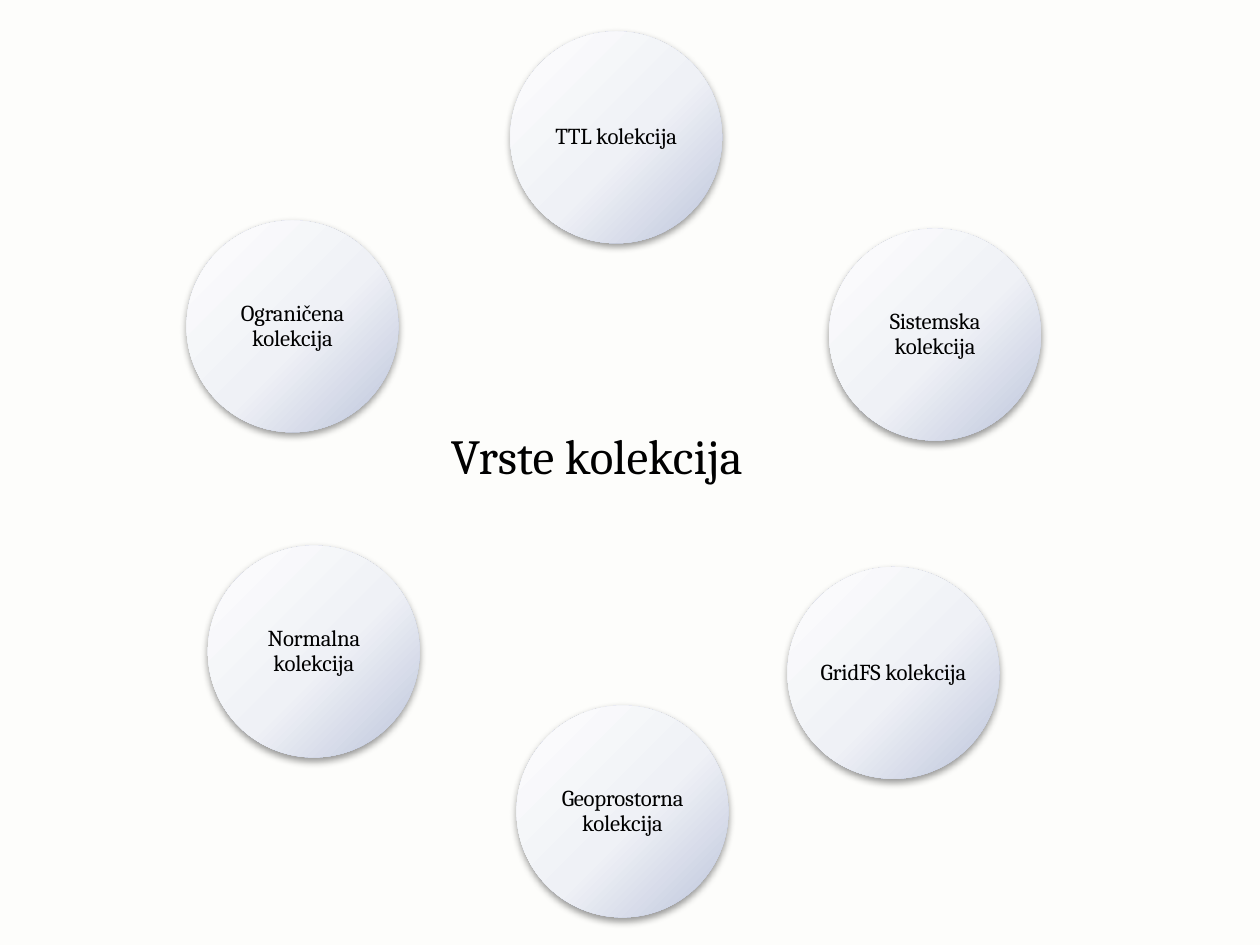
from pptx import Presentation
from pptx.dml.color import RGBColor
from pptx.enum.shapes import MSO_SHAPE as Kind
from pptx.enum.text import MSO_ANCHOR as Anchor, PP_ALIGN as Align
from pptx.oxml import parse_xml
from pptx.oxml.ns import nsdecls, qn
from pptx.util import Pt

BLACK = RGBColor(0x00, 0x00, 0x00)
PAPER = RGBColor(0xFD, 0xFD, 0xFB)
WHITE = RGBColor(0xFE, 0xFE, 0xFE)
MIST = RGBColor(0xEF, 0xF1, 0xF6)
STEEL = RGBColor(0xBC, 0xC4, 0xDB)

SIZE = 121
STOPS = [(0, WHITE), (55, MIST), (100, STEEL)]
TYPES = [
    ("Geoprostorna kolekcija", 295.2, 403.2),
    ("Sistemska kolekcija", 473.8, 130.7),
    ("TTL kolekcija", 291.6, 18),
    ("GridFS kolekcija", 450, 324),
    ("Normalna kolekcija", 118.8, 311.8),
    ("Ograničena kolekcija", 106.6, 126),
]


class Board:
    def __init__(self, slide, font):
        self.slide = slide
        self.font = font
        back = slide.background.fill
        back.solid()
        back.fore_color.rgb = PAPER

    def label(self, frame, text, size):
        frame.word_wrap = True
        frame.text = text
        para = frame.paragraphs[0]
        font = para.runs[0].font
        font.name = self.font
        font.size = Pt(size)
        font.color.rgb = BLACK
        return para

    def title(self, text, left, top, width, height):
        box = self.slide.shapes.add_textbox(Pt(left), Pt(top), Pt(width), Pt(height))
        self.label(box.text_frame, text, 28)

    def shade(self, shape):
        stops = "".join(
            f'<a:gs pos="{pos * 1000}"><a:srgbClr val="{color}"/></a:gs>'
            for pos, color in STOPS
        )
        grad = parse_xml(
            f'<a:gradFill {nsdecls("a")} rotWithShape="1"><a:gsLst>{stops}</a:gsLst>'
            '<a:path path="circle"><a:fillToRect l="-40000" t="-90000" '
            'r="140000" b="190000"/></a:path></a:gradFill>'
        )
        shape.fill.gradient()
        props = shape.element.spPr
        props.replace(props.find(qn("a:gradFill")), grad)

    def shadow(self, shape):
        shape.shadow.inherit = False
        drop = parse_xml(
            f'<a:outerShdw {nsdecls("a")} blurRad="{Pt(4.1)}" dist="{Pt(2)}" '
            'dir="5400000" rotWithShape="0"><a:srgbClr val="000000">'
            '<a:alpha val="40000"/></a:srgbClr></a:outerShdw>'
        )
        shape.element.spPr.find(qn("a:effectLst")).append(drop)

    def circle(self, text, left, top):
        shape = self.slide.shapes.add_shape(
            Kind.OVAL, Pt(left), Pt(top), Pt(SIZE), Pt(SIZE)
        )
        self.shade(shape)
        shape.line.fill.background()
        self.shadow(shape)
        frame = shape.text_frame
        frame.margin_left = frame.margin_right = 0
        frame.margin_top = frame.margin_bottom = 0
        frame.vertical_anchor = Anchor.MIDDLE
        para = self.label(frame, text, 13)
        para.alignment = Align.CENTER
        para.line_spacing = 0.9
        for props in shape.element.iter(qn("a:rPr")):
            props.set("spc", "-10")


def main():
    deck = Presentation()
    deck.slide_width, deck.slide_height = Pt(720), Pt(540)
    board = Board(deck.slides.add_slide(deck.slide_layouts[6]), "Cambria")
    board.title("Vrste kolekcija", 250.6, 239.8, 648, 72)
    for text, left, top in TYPES:
        board.circle(text, left, top)
    deck.save("out.pptx")


if __name__ == "__main__":
    main()
